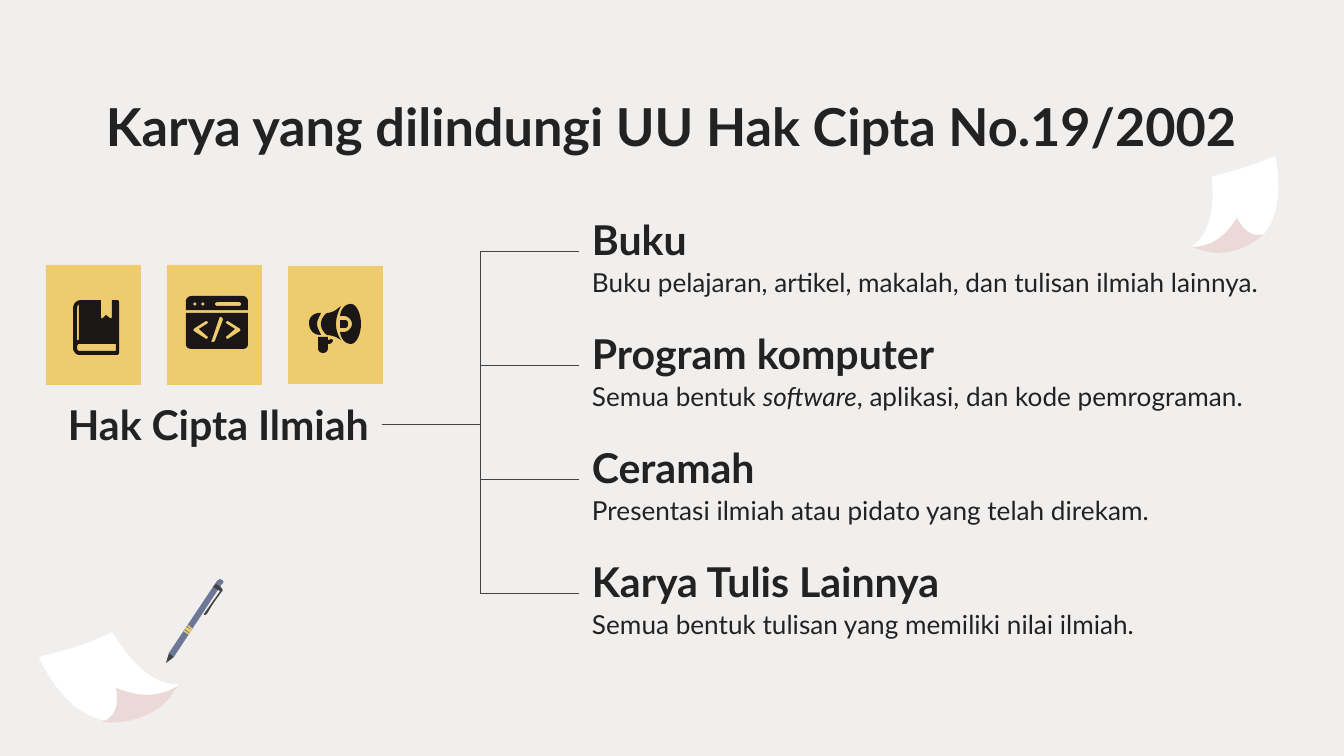
from pptx import Presentation
from pptx.dml.color import RGBColor
from pptx.enum.shapes import MSO_CONNECTOR, MSO_SHAPE
from pptx.enum.text import MSO_ANCHOR, MSO_AUTO_SIZE, PP_ALIGN
from pptx.oxml.ns import qn
from pptx.util import Pt
from lxml import etree

PX = 914400 / 134.4
SLIDE_WIDTH, SLIDE_HEIGHT = 1344, 756
FONT = "Lato"
INSET = 13
CURVE_STEPS = 8

BACKGROUND = RGBColor(0xF1, 0xEF, 0xEE)
INK = RGBColor(0x22, 0x22, 0x22)
GRAY = RGBColor(0x43, 0x43, 0x43)
WHITE = RGBColor(0xFF, 0xFF, 0xFF)
PINK = RGBColor(0xEA, 0xD9, 0xD6)
BLUE = RGBColor(0x6D, 0x78, 0x97)
GOLD = RGBColor(0xED, 0xCB, 0x6E)
BLACK = RGBColor(0x1A, 0x17, 0x16)

LEFT, CENTER, RIGHT = PP_ALIGN.LEFT, PP_ALIGN.CENTER, PP_ALIGN.RIGHT
TOP, MIDDLE, BOTTOM = MSO_ANCHOR.TOP, MSO_ANCHOR.MIDDLE, MSO_ANCHOR.BOTTOM
LEFT_SIDE, RIGHT_SIDE = 1, 3

# Each outline is (colour, contours). A contour is a closed list of steps:
# (x, y) is a corner, (x1, y1, x2, y2, x, y) a Bézier curve.
LEFT_PAPER = [
    (WHITE, [[(73, 0), (71, 1, 51, 13, 0, 25), (0, 25, 23, 80, 63, 88), (63, 88, 95, 92, 121, 72),
              (128, 68, 134, 61, 140, 52), (140, 52, 109, 60, 73, 0)]]),
    (PINK, [[(77, 56), (77, 56, 82, 78, 70, 86), (69, 88, 66, 88, 63, 90), (63, 90, 93, 95, 120, 76),
             (126, 71, 134, 63, 140, 52), (140, 52, 140, 53, 137, 55), (130, 59, 110, 70, 77, 56)]]),
]
RIGHT_PAPER = [
    (WHITE, [[(22, 20), (23, 20, 43, 17, 85, 0), (85, 0, 98, 50, 74, 78), (74, 78, 54, 97, 26, 97),
              (17, 97, 9, 95, 0, 91), (0, 91, 28, 81, 22, 20)]]),
    (PINK, [[(47, 62), (47, 62, 55, 79, 67, 79), (70, 79, 72, 79, 74, 78), (74, 78, 56, 97, 28, 97),
             (20, 97, 11, 95, 1, 91), (11, 91, 31, 89, 47, 62)]]),
]
PEN = [
    (BLUE, [[(54, 0), (51, 2), (3, 74), (8, 78), (56, 5), (58, 4, 58, 2, 56, 1)]]),
    (GRAY, [[(3, 74), (0, 84), (8, 78)]]),
    (GRAY, [[(50, 5), (47, 8), (52, 11), (55, 8)]]),
    (GOLD, [[(20, 48), (19, 50), (24, 54), (26, 51)]]),
    (GOLD, [[(18, 51), (17, 52), (23, 56), (24, 55)]]),
    (GOLD, [[(22, 46), (21, 47), (26, 51), (27, 50)]]),
    (GRAY, [[(54, 8), (52, 11), (54, 12), (54, 12, 56, 13, 56, 11), (57, 10, 56, 9, 55, 9)]]),
    (GRAY, [[(55, 11), (38, 35), (38, 36), (39, 36), (57, 11)]]),
    (GRAY, [[(48, 21), (39, 35), (39, 36), (41, 35), (48, 23)]]),
]
BOOK = [
    (BLACK, [
        [(36, 35), (30, 35, 27, 39, 27, 44), (27, 83), (27, 86, 30, 90, 33, 90), (71, 90),
         (72, 90, 73, 89, 73, 88), (73, 37), (73, 36, 72, 35, 71, 35), (66, 35), (66, 51),
         (66, 53, 65, 54, 64, 53), (60, 50), (57, 53), (55, 54, 55, 53, 55, 51), (55, 35)],
        [(33, 39), (33, 75), (32, 75, 31, 75, 31, 76), (31, 44), (31, 41, 32, 40, 33, 39)],
        [(70, 79), (70, 86), (33, 86), (32, 86, 31, 84, 31, 83), (31, 80, 32, 79, 33, 79)]]),
]
CODE_WINDOW = [
    (BLACK, [
        [(25, 31), (21, 31, 19, 34, 19, 36), (19, 45), (81, 45), (81, 36), (81, 34, 79, 31, 76, 31)],
        [(28, 37), (30, 39), (28, 41), (26, 39)],
        [(36, 37), (38, 39), (36, 41), (34, 39)],
        [(51, 37), (72, 37), (75, 37, 75, 41, 72, 41), (51, 41), (47, 41, 47, 37, 51, 37)]]),
    (BLACK, [
        [(19, 48), (19, 79), (19, 82, 21, 84, 25, 84), (76, 84), (79, 84, 81, 82, 81, 79), (81, 48)],
        [(39, 56), (41, 56, 42, 58, 40, 59), (32, 64), (40, 71), (42, 72, 41, 74, 39, 74),
         (28, 67), (26, 66, 26, 64, 28, 63)],
        [(61, 56), (59, 56, 58, 58, 60, 59), (68, 64), (60, 71), (58, 72, 59, 74, 61, 74),
         (72, 67), (74, 66, 74, 64, 72, 63)],
        [(53, 52), (55, 52, 56, 53, 56, 55), (48, 76), (47, 78, 43, 78, 45, 75), (52, 54)]]),
]
MEGAPHONE = [
    (BLACK, [[(52, 54), (52, 62), (56, 62), (59, 62, 60, 61, 60, 58), (60, 55, 59, 54, 56, 54)]]),
    (BLACK, [[(63, 38), (57, 38, 53, 43, 52, 50), (56, 50), (60, 50, 64, 54, 64, 58),
              (64, 62, 60, 66, 56, 66), (52, 66), (53, 73, 57, 78, 63, 78),
              (68, 78, 73, 69, 73, 58), (73, 47, 68, 38, 63, 38)]]),
    (BLACK, [[(30, 71), (30, 82), (30, 85, 32, 87, 35, 87), (38, 87, 40, 85, 40, 82), (40, 78),
              (41, 78), (44, 78, 45, 75, 45, 74), (43, 73), (41, 74), (40, 74), (40, 71)]]),
    (BLACK, [[(53, 40), (48, 44), (45, 46, 41, 47, 39, 47), (35, 50, 33, 54, 33, 58),
              (33, 62, 35, 66, 39, 69), (41, 69, 45, 70, 48, 71), (53, 74),
              (51, 71, 48, 65, 48, 58), (48, 51, 51, 44, 53, 40)]]),
    (BLACK, [[(32, 47), (26, 47, 21, 51, 21, 57), (21, 63, 25, 69, 32, 69), (33, 69),
              (32, 66, 29, 62, 29, 58), (29, 54, 32, 50, 33, 47)]]),
]

# Odd parts of a description are italic
WORKS = [
    ("Buku", ["Buku pelajaran, artikel, makalah, dan tulisan ilmiah lainnya."]),
    ("Program komputer", ["Semua bentuk ", "software", ", aplikasi, dan kode pemrograman."]),
    ("Ceramah", ["Presentasi ilmiah atau pidato yang telah direkam."]),
    ("Karya Tulis Lainnya", ["Semua bentuk tulisan yang memiliki nilai ilmiah."]),
]


def emu(pixels):
    return round(pixels * PX)


def write_text(shape, parts, size, bold=False, align=LEFT, anchor=TOP):
    frame = shape.text_frame
    frame.word_wrap = True
    frame.auto_size = MSO_AUTO_SIZE.NONE
    frame.vertical_anchor = anchor
    frame.margin_left = frame.margin_right = frame.margin_top = frame.margin_bottom = emu(INSET)
    paragraph = frame.paragraphs[0]
    paragraph.alignment = align
    for index, part in enumerate(parts):
        run = paragraph.add_run()
        run.text = part
        font = run.font
        font.name, font.size, font.bold = FONT, Pt(size), bold
        font.italic = index % 2 == 1
        font.color.rgb = INK


def add_text(slide, box, parts, **text_format):
    shape = slide.shapes.add_textbox(*map(emu, box))
    write_text(shape, parts, **text_format)
    return shape


def paint(shape, color):
    shape.shadow.inherit = False
    shape.fill.solid()
    shape.fill.fore_color.rgb = color
    shape.line.fill.background()


def flatten(contour, left, top):
    """Turn a contour's corners and curves into slide points in EMU."""
    points = []
    for step in contour:
        if len(step) == 2:
            points.append(step)
            continue
        controls = [points[-1], step[:2], step[2:4], step[4:]]
        for index in range(1, CURVE_STEPS + 1):
            t = index / CURVE_STEPS
            weights = ((1 - t) ** 3, 3 * t * (1 - t) ** 2, 3 * t * t * (1 - t), t ** 3)
            points.append(tuple(sum(w * c[axis] for w, c in zip(weights, controls)) for axis in (0, 1)))
    return [(emu(left + x), emu(top + y)) for x, y in points]


def add_drawing(slide, left, top, outlines):
    shapes = []
    for color, contours in outlines:
        first, *holes = [flatten(contour, left, top) for contour in contours]
        builder = slide.shapes.build_freeform(*first[0])
        builder.add_line_segments(first[1:])
        for hole in holes:
            builder.move_to(*hole[0])
            builder.add_line_segments(hole[1:])
        shape = builder.convert_to_shape()
        paint(shape, color)
        shapes.append(shape)
    if len(shapes) > 1:
        slide.shapes.add_group_shape(shapes)


def add_title(slide, box, text):
    title = slide.shapes.title
    title.left, title.top, title.width, title.height = map(emu, box)
    write_text(title, [text], size=28, bold=True, align=CENTER)


def add_icon_card(slide, box, icon):
    card = slide.shapes.add_shape(MSO_SHAPE.RECTANGLE, *map(emu, box))
    paint(card, GOLD)
    add_drawing(slide, box[0], box[1], icon)


def add_branch(slide, source, target):
    start = source.left + source.width, source.top + source.height // 2
    end = target.left, target.top + target.height // 2
    connector = slide.shapes.add_connector(MSO_CONNECTOR.ELBOW, *start, *end)
    connector.begin_connect(source, RIGHT_SIDE)
    connector.end_connect(target, LEFT_SIDE)
    connector.line.color.rgb = GRAY
    connector.line.width = Pt(0.75)
    etree.SubElement(connector._element.spPr, qn("a:effectLst"))


def add_work(slide, left, top, heading, description):
    add_text(slide, (left, top + 27, 715, 51), description, size=14)
    return add_text(slide, (left, top, 547, 51), [heading], size=22, bold=True, anchor=BOTTOM)


def add_tree(slide, left, top):
    root = add_text(slide, (left, top + 173, 382, 51), ["Hak Cipta Ilmiah"],
                    size=22, bold=True, align=RIGHT, anchor=MIDDLE)
    for index, (heading, description) in enumerate(WORKS):
        work = add_work(slide, left + 579, top + 114 * index, heading, description)
        add_branch(slide, root, work)


def main():
    presentation = Presentation()
    presentation.slide_width, presentation.slide_height = emu(SLIDE_WIDTH), emu(SLIDE_HEIGHT)
    slide = presentation.slides.add_slide(presentation.slide_layouts[5])
    slide.background.fill.solid()
    slide.background.fill.fore_color.rgb = BACKGROUND

    # Loose sheets of paper
    add_drawing(slide, 39, 632, LEFT_PAPER)
    add_drawing(slide, 1190, 156, RIGHT_PAPER)

    # Title and tree of protected works
    add_title(slide, (52, 81, 1238, 85), "Karya yang dilindungi UU Hak Cipta No.19/2002")
    add_tree(slide, 0, 226)

    # Pen and icon cards
    add_drawing(slide, 166, 579, PEN)
    cards = [(BOOK, 265, 120), (CODE_WINDOW, 265, 120), (MEGAPHONE, 266, 118)]
    for index, (icon, top, height) in enumerate(cards):
        add_icon_card(slide, (46 + 121 * index, top, 95, height), icon)

    presentation.save("out.pptx")


if __name__ == "__main__":
    main()
